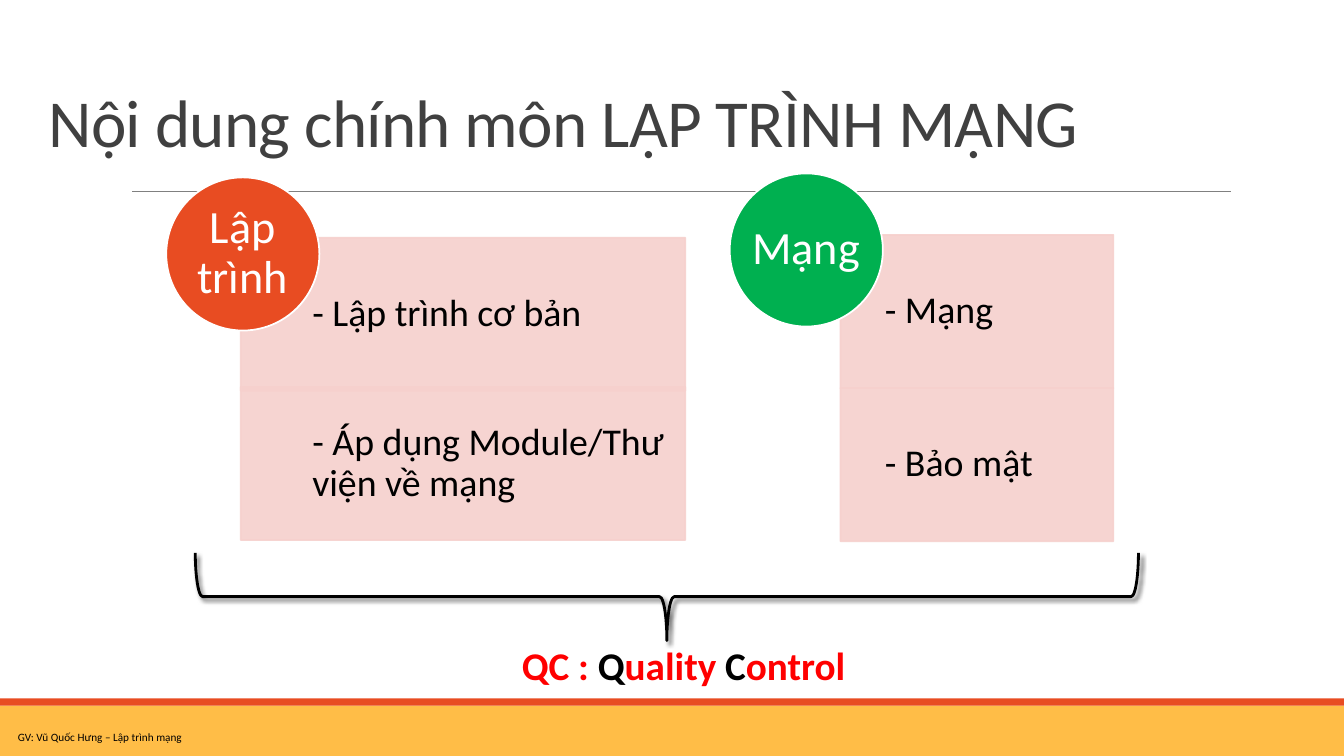
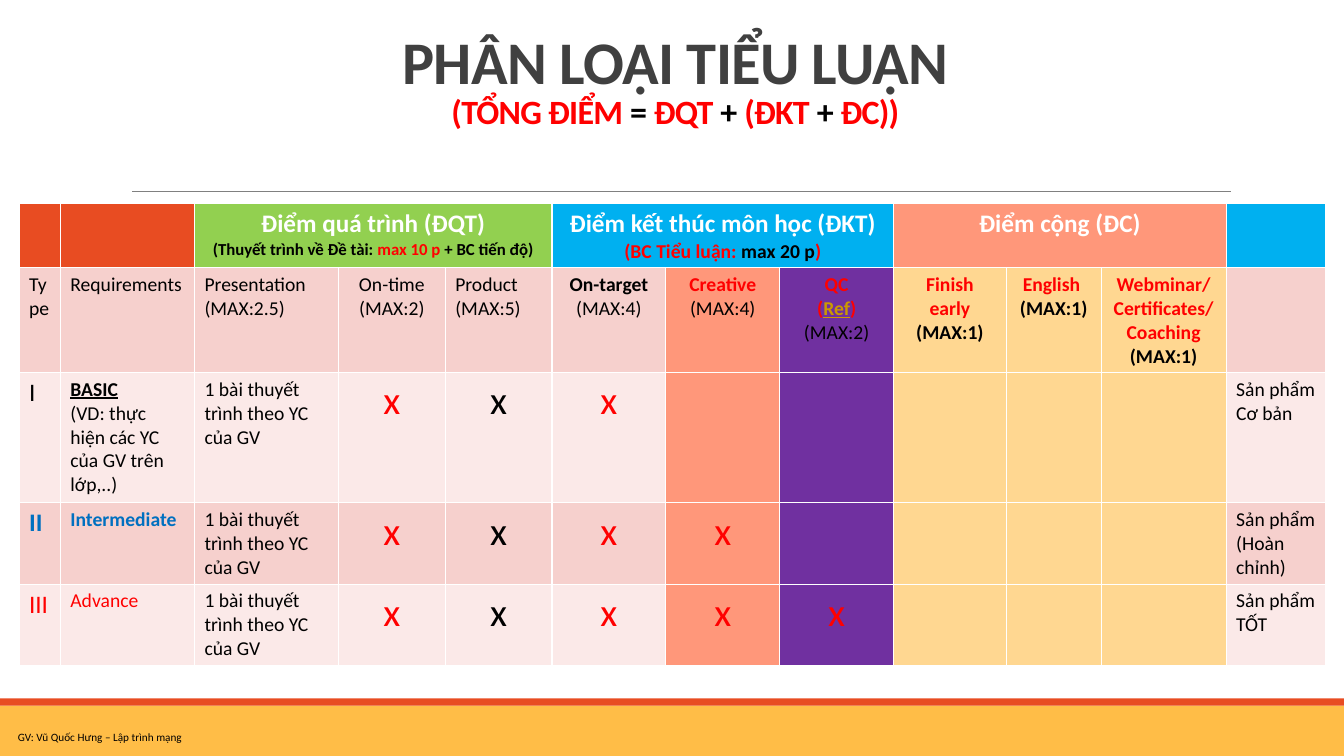
"""Build two slides on a network programming course: its contents and its essay grading."""
from dataclasses import dataclass

from lxml.etree import SubElement
from pptx import Presentation
from pptx.dml.color import RGBColor
from pptx.enum.shapes import MSO_CONNECTOR, MSO_SHAPE
from pptx.enum.text import MSO_ANCHOR, MSO_AUTO_SIZE, PP_ALIGN
from pptx.oxml.ns import qn
from pptx.util import Cm, Pt

RECTANGLE, OVAL, BRACE = MSO_SHAPE.RECTANGLE, MSO_SHAPE.OVAL, MSO_SHAPE.RIGHT_BRACE
STRAIGHT = MSO_CONNECTOR.STRAIGHT
LEFT, CENTER = PP_ALIGN.LEFT, PP_ALIGN.CENTER
TOP, MIDDLE, BOTTOM = MSO_ANCHOR.TOP, MSO_ANCHOR.MIDDLE, MSO_ANCHOR.BOTTOM
NO_AUTOFIT = MSO_AUTO_SIZE.NONE

FONT = "Calibri"
WIDTH, HEIGHT = 33.87, 19.05
BLACK, WHITE, RED, GRAY = "000000", "FFFFFF", "FF0000", "404040"
ORANGE, AMBER, RULE = "E84C22", "FFBD47", "808080"
PINK, PALE_PINK, SALMON, SAND = "F6D0CD", "FBE9E8", "FF977A", "FFD791"
GREEN, LIME, SKY, BLUE, PURPLE, GOLD = "00B050", "92D050", "00B0F0", "0070C0", "7030A0", "CC9900"
LINE_BREAK = "\v"


@dataclass
class Span:
    """A stretch of text in one style."""
    text: str
    color: str = BLACK
    size: float = 14
    bold: bool = False
    underline: bool = False


def rgb(value):
    """Turn a hex string into a colour."""
    return RGBColor.from_string(value)


def alternate(parts, colors, size):
    """Style bold parts with the two colours in turn."""
    return [Span(part, colors[i % 2], size, True) for i, part in enumerate(parts)]


class Deck:
    """Holds the shared style and the current slide."""

    def __init__(self):
        """Open an empty widescreen presentation."""
        self.prs = Presentation()
        self.prs.slide_width, self.prs.slide_height = Cm(WIDTH), Cm(HEIGHT)
        self.slide = None

    def new_slide(self, title, box, align=LEFT):
        """Start a slide with its title, bands, rule and footer."""
        self.slide = self.prs.slides.add_slide(self.prs.slide_layouts[5])
        self.shape(RECTANGLE, (0, 17.78, WIDTH, 1.27), AMBER)
        self.shape(RECTANGLE, (0, 17.6, WIDTH, 0.18), ORANGE)
        self.rule(3.33, 31.01, 4.83)
        self.text((0.2, 18.29, 7.62, 0.61), [Span("GV: Vũ Quốc Hưng – Lập trình mạng", size=8)])
        heading = self.slide.shapes.title
        heading.left, heading.top, heading.width, heading.height = map(Cm, box)
        heading.text_frame.auto_size = NO_AUTOFIT
        self.set_text(heading.text_frame, [title], align, BOTTOM, 0.85)
        for run in heading.text_frame.paragraphs[0].runs:
            run.font._element.set("spc", "-50")

    def set_text(self, frame, paragraphs, align=LEFT, anchor=TOP, spacing=None):
        """Fill a text frame with paragraphs made of spans."""
        frame.word_wrap = True
        frame.vertical_anchor = anchor
        for number, spans in enumerate(paragraphs):
            paragraph = frame.add_paragraph() if number else frame.paragraphs[0]
            paragraph.alignment = align
            paragraph.line_spacing = spacing
            for span in spans:
                if span.text == LINE_BREAK:
                    paragraph.add_line_break()
                    continue
                run = paragraph.add_run()
                run.text = span.text
                font = run.font
                font.name, font.size, font.bold = FONT, Pt(span.size), span.bold
                font.underline = span.underline
                font.color.rgb = rgb(span.color)

    def shape(self, kind, box, fill=None, line=None, weight=1.25, opacity=None):
        """Add a preset shape without the theme's effects."""
        shape = self.slide.shapes.add_shape(kind, *map(Cm, box))
        shape.shadow.inherit = False
        if fill:
            shape.fill.solid()
            shape.fill.fore_color.rgb = rgb(fill)
        else:
            shape.fill.background()
        if line:
            shape.line.color.rgb = rgb(line)
            shape.line.width = Pt(weight)
        else:
            shape.line.fill.background()
        if opacity:
            for color in shape._element.spPr.iter(qn("a:srgbClr")):
                SubElement(color, qn("a:alpha"), val=str(opacity * 1000))
        return shape

    def rule(self, start, end, y):
        """Draw the thin line below the title."""
        rule = self.slide.shapes.add_connector(STRAIGHT, Cm(start), Cm(y), Cm(end), Cm(y))
        rule.line.color.rgb = rgb(RULE)
        rule.line.width = Pt(0.5)
        SubElement(rule._element.spPr, qn("a:effectLst"))

    def text(self, box, spans):
        """Add a one-paragraph text box."""
        self.set_text(self.slide.shapes.add_textbox(*map(Cm, box)).text_frame, [spans])

    def topic(self, name, color, circle, panel, step, indent, items):
        """Add stacked panels with a round heading at their corner."""
        left, top, width = panel
        size = 3.86
        for number, item in enumerate(items):
            box = (left, top + number * step, width, size)
            frame = self.shape(RECTANGLE, box, PINK, PINK, opacity=90).text_frame
            frame.margin_left = Cm(indent)
            frame.margin_top = frame.margin_right = frame.margin_bottom = Cm(0.53)
            self.set_text(frame, [[Span(item, size=27)]], LEFT, MIDDLE, 0.9)
        frame = self.shape(OVAL, (*circle, size, size), color, WHITE).text_frame
        frame.margin_left = frame.margin_top = frame.margin_right = frame.margin_bottom = 0
        self.set_text(frame, [[Span(name, WHITE, 33)]], CENTER, MIDDLE, 0.9)

    def brace(self, box):
        """Add a brace that opens upwards, with a soft shadow."""
        brace = self.shape(BRACE, box, line=BLACK, weight=2)
        brace.rotation = 90
        effects = brace._element.spPr.find(qn("a:effectLst"))
        shadow = SubElement(effects, qn("a:outerShdw"), blurRad=str(Pt(3)), dist=str(Pt(2)),
                            dir="2700000", algn="tl", rotWithShape="0")
        color = SubElement(shadow, qn("a:srgbClr"), val=BLACK)
        SubElement(color, qn("a:alpha"), val="60000")

    def table(self, corner, widths, heights, rows, fills, centered, merges):
        """Add a table whose cells hold paragraphs of spans."""
        frame = self.slide.shapes.add_table(len(rows), len(widths), *map(
            Cm, (*corner, sum(widths), sum(heights))))
        table = frame.table
        for column, width in zip(table.columns, widths):
            column.width = Cm(width)
        for row, height in zip(table.rows, heights):
            row.height = Cm(height)
        for r, cells in enumerate(rows):
            for c, paragraphs in enumerate(cells):
                cell = table.cell(r, c)
                cell.fill.solid()
                cell.fill.fore_color.rgb = rgb(fills[r][c])
                align = CENTER if centered(r, c) else LEFT
                self.set_text(cell.text_frame, paragraphs, align)
        for first, last in merges:
            table.cell(0, first).merge(table.cell(0, last))


def add_contents(deck):
    """Add the slide on the course contents."""
    deck.new_slide([Span("Nội dung chính môn LẬP TRÌNH MẠNG", GRAY, 48)], (0.97, 0.33, 32.59, 3.86))
    deck.topic("Lập trình", ORANGE, (4.19, 4.47), (6.07, 5.99, 11.2), 3.76, 1.8,
               ["- Lập trình cơ bản", "- Áp dụng Module/Thư viện về mạng"])
    deck.topic("Mạng", GREEN, (18.39, 4.37), (21.18, 5.92, 6.88), 3.86, 1.12,
               ["- Mạng", "- Bảo mật"])
    deck.brace((15.7, 3.15, 2.21, 23.77))
    deck.text((12.9, 16.03, 10.03, 1.45),
              alternate(["QC : ", "Q", "uality ", "C", "ontrol"], (RED, BLACK), 28))


def criterion(name, points, name_color=BLACK, name_bold=False, points_bold=False):
    """Return a criterion's name above its highest mark."""
    return [[Span(name, name_color, bold=name_bold)], [Span(f"(MAX:{points})", bold=points_bold)]]


def level_row(number, numeral, requirement, color, bold, product):
    """Return the row of one essay level, with a mark for each criterion it meets."""
    mark_colors = (RED, BLACK, RED, RED, RED)[:number + 2]
    marks = [[[Span("x", mark_color, 28)]] for mark_color in mark_colors]
    blanks = [[]] * (8 - len(marks))
    return [[[Span(numeral, color, 18, bold)]], requirement,
            [[Span("1 bài thuyết trình theo YC của GV")]],
            *marks, *blanks, [[Span(line)] for line in product]]


def add_grading(deck):
    """Add the slide on the essay levels and their marks."""
    formula = ["(TỔNG ĐIỂM ", "= ", "ĐQT ", "+ ", "(ĐKT ", "+", " ĐC))"]
    deck.new_slide([Span("PHÂN LOẠI TIỂU LUẬN", GRAY, 43.2, True), Span(LINE_BREAK),
                    *alternate(formula, (RED, BLACK), 24.3)], (3.05, 0.79, 27.94, 2.64), CENTER)
    process = [[Span("Điểm quá trình (ĐQT)", WHITE, 18, True)],
               alternate(["(Thuyết trình về Đề tài: ", "max 10 p ", "+ BC tiến độ)"],
                         (BLACK, RED), 12)]
    final = [[Span("Điểm kết thúc môn học (ĐKT)", WHITE, 18, True)],
             alternate(["(BC Tiểu luận: ", "max 20 p", ")"], (RED, BLACK), 14)]
    bonus = [[Span("Điểm cộng (ĐC)", WHITE, 18, True)]]
    quality = [[Span("QC", RED, bold=True)],
               [Span("(", RED, bold=True), Span("Ref", GOLD, bold=True, underline=True),
                Span(")", RED, bold=True)], [Span("(MAX:2)")]]
    rows = [
        [[], [], process, [], [], final, [], [], bonus, [], [], []],
        [[[Span("Type")]], [[Span("Requirements")]],
         criterion("Presentation", 2.5), criterion("On-time", 2), criterion("Product", 5),
         [[Span("On-target ", bold=True), Span("(MAX:4)")]],
         criterion("Creative", 4, RED, True), quality,
         *(criterion(name, 1, RED, True, True) for name in
           ("Finish early", "English ", "Webminar/ Certificates/Coaching")), []],
        level_row(1, "I", [[Span("BASIC", bold=True, underline=True)],
                           [Span("(VD: thực hiện các YC của GV trên lớp,..)")]],
                  BLACK, False, ["Sản phẩm", "Cơ bản"]),
        level_row(2, "II", [[Span("Intermediate", BLUE, bold=True)]],
                  BLUE, True, ["Sản phẩm", "(Hoàn chỉnh)"]),
        level_row(3, "III", [[Span("Advance", RED)]], RED, False, ["Sản phẩm TỐT"]),
    ]
    header = [ORANGE] * 2 + [LIME] * 3 + [SKY] * 3 + [SALMON] * 3 + [SKY]
    bands = [[band] * 6 + [SALMON, PURPLE] + [SAND] * 3 + [band]
             for band in (PINK, PALE_PINK) * 2]
    deck.table((0.48, 5.13),
               [1.04, 3.38, 3.63, 2.69, 2.69, 2.87, 2.87, 2.87, 2.84, 2.39, 3.15, 2.51],
               [1.62, 2.64, 3.28, 2.05, 2.05], rows, [header, *bands],
               lambda r, c: r == 0 or (3 <= c <= 10 and (r, c) != (1, 4)),
               [(2, 4), (5, 7), (8, 10)])


def main():
    """Build and save the presentation."""
    deck = Deck()
    add_contents(deck)
    add_grading(deck)
    deck.prs.save("out.pptx")


if __name__ == "__main__":
    main()
